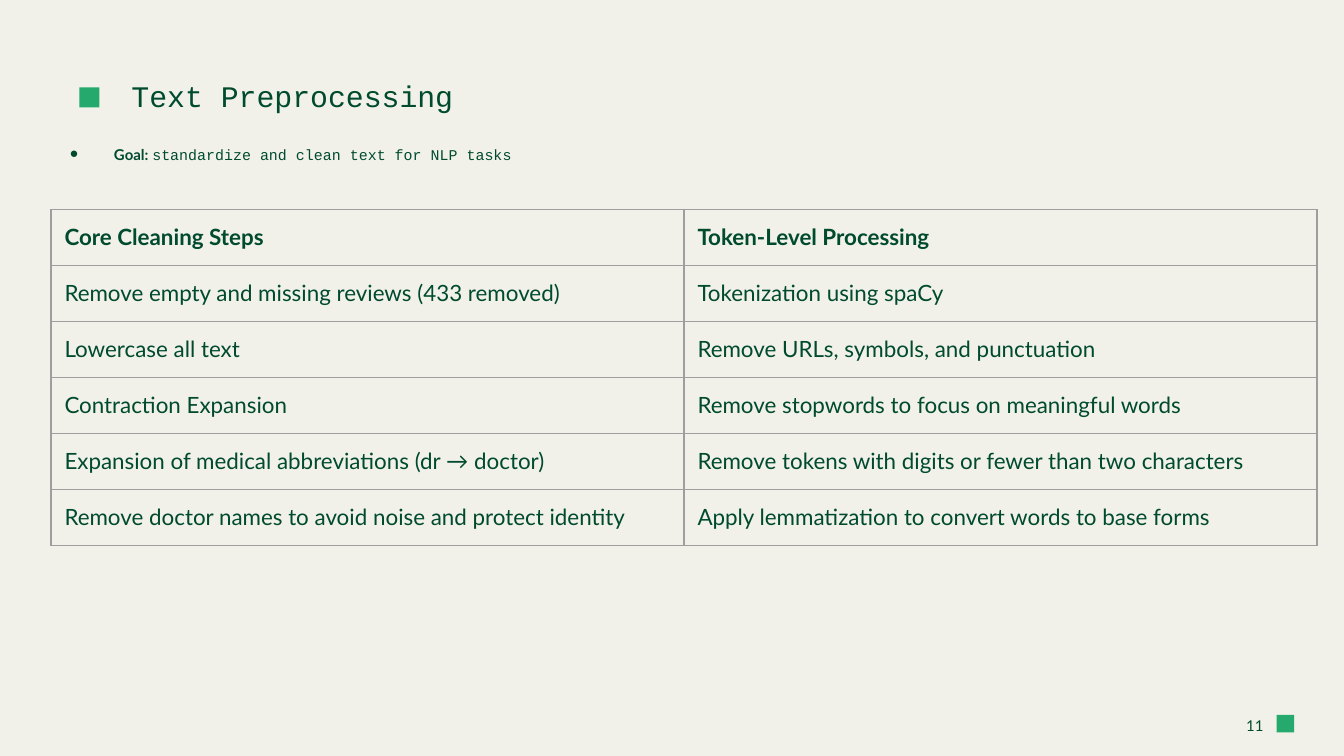
"""Build the Text Preprocessing slide with its two-column table of cleaning steps."""
import lxml.etree
import pptx
import pptx.dml.color
import pptx.enum.shapes
import pptx.enum.text
import pptx.oxml.ns
import pptx.util

Inches = pptx.util.Inches
Pt = pptx.util.Pt
RGBColor = pptx.dml.color.RGBColor
ANCHOR = pptx.enum.text.MSO_ANCHOR
ALIGN = pptx.enum.text.PP_ALIGN
qn = pptx.oxml.ns.qn

CREAM = RGBColor(0xF1, 0xF1, 0xE9)
DARK_GREEN = RGBColor(0x00, 0x4A, 0x2E)
GREEN = RGBColor(0x26, 0xA9, 0x6C)
GREY = RGBColor(0x9E, 0x9E, 0x9E)
SANS, MONO = "Lato", "Courier New"
WIDTH = Inches(10)
HEIGHT = WIDTH * 9 // 16

TITLE = [("Text Preprocessing", {"name": MONO, "size": Pt(16)})]
GOAL = [
    ("Goal: ", {"name": SANS, "size": Pt(8), "bold": True}),
    ("standardize and clean text for NLP tasks", {"name": MONO, "size": Pt(8)}),
]
PAGE_NUMBER = [("11", {"name": SANS, "size": Pt(8)})]
STEPS = [
    ("Core Cleaning Steps", "Token-Level Processing"),
    ("Remove empty and missing reviews (433 removed)", "Tokenization using spaCy"),
    ("Lowercase all text", "Remove URLs, symbols, and punctuation"),
    ("Contraction Expansion", "Remove stopwords to focus on meaningful words"),
    ("Expansion of medical abbreviations (dr → doctor)",
     "Remove tokens with digits or fewer than two characters"),
    ("Remove doctor names to avoid noise and protect identity",
     "Apply lemmatization to convert words to base forms"),
]
MARKERS = [(9.5, 5.32, 0.13, 0.13), (0.59, 0.65, 0.15, 0.15)]
TABLE_BOX = (0.38, 1.56, 9.42, 2.5)
PADDING = {f"margin_{side}": Inches(0.1) for side in ("left", "top", "right", "bottom")}


def apply(target, values):
    """Set each named attribute on the target."""
    for name, value in values.items():
        setattr(target, name, value)


def write(paragraph, runs):
    """Add formatted runs to a paragraph."""
    for words, style in runs:
        run = paragraph.add_run()
        run.text = words
        apply(run.font, {"bold": False, **style})
        run.font.color.rgb = DARK_GREEN


def add_text(slide, box, runs, anchor=ANCHOR.TOP, **layout):
    """Add a wrapped text box and return its paragraph."""
    frame = slide.shapes.add_textbox(*map(Inches, box)).text_frame
    apply(frame, {"word_wrap": True, "vertical_anchor": anchor, **PADDING})
    paragraph = frame.paragraphs[0]
    apply(paragraph, layout)
    write(paragraph, runs)
    return paragraph


def indent(paragraph, left, first):
    """Set the left margin and first-line indent in inches."""
    properties = paragraph._p.get_or_add_pPr()
    properties.set("marL", str(Inches(left)))
    properties.set("indent", str(Inches(first)))
    return properties


def add_child(parent, tag, **attributes):
    """Append one XML element."""
    return lxml.etree.SubElement(parent, qn(tag), attributes)


def add_marker(slide, box):
    """Add a plain green square."""
    marker = slide.shapes.add_shape(
        pptx.enum.shapes.MSO_SHAPE.RECTANGLE, *map(Inches, box))
    marker.shadow.inherit = False
    marker.fill.solid()
    marker.fill.fore_color.rgb = GREEN
    marker.line.fill.background()


def add_steps(slide):
    """Add the bordered table of steps."""
    table = slide.shapes.add_table(
        len(STEPS), len(STEPS[0]), *map(Inches, TABLE_BOX)).table
    apply(table, {"first_row": False, "horz_banding": False})
    for r, row in enumerate(STEPS):
        for c, words in enumerate(row):
            cell = table.cell(r, c)
            apply(cell, PADDING)
            style = {"name": SANS, "size": Pt(12), "bold": r == 0}
            write(cell.text_frame.paragraphs[0], [(words, style)])
            for edge in ("a:lnL", "a:lnR", "a:lnT", "a:lnB"):
                border = add_child(cell._tc.get_or_add_tcPr(), edge, w=str(Pt(0.75)))
                add_child(add_child(border, "a:solidFill"), "a:srgbClr", val=str(GREY))
            cell.fill.background()


def main():
    """Assemble and save the slide."""
    deck = pptx.Presentation()
    apply(deck, {"slide_width": WIDTH, "slide_height": HEIGHT})
    slide = deck.slides.add_slide(deck.slide_layouts[6])
    slide.background.fill.solid()
    slide.background.fill.fore_color.rgb = CREAM

    for box in MARKERS:
        add_marker(slide, box)
    indent(add_text(slide, (0.38, 0.48, 3.85, 0.55), TITLE), 0, 0.5)
    add_text(slide, (9, 5.25, 0.5, 0.3), PAGE_NUMBER, ANCHOR.MIDDLE, alignment=ALIGN.RIGHT)

    goal = add_text(slide, (0.25, 1, 9.54, 4.25), GOAL, line_spacing=1.1)
    bullet = indent(goal, 0.5, -0.33)
    add_child(add_child(bullet, "a:buClr"), "a:srgbClr", val=str(DARK_GREEN))
    add_child(bullet, "a:buFont", typeface=MONO)
    add_child(bullet, "a:buChar", char="●")

    add_steps(slide)
    deck.save("out.pptx")


if __name__ == "__main__":
    main()
